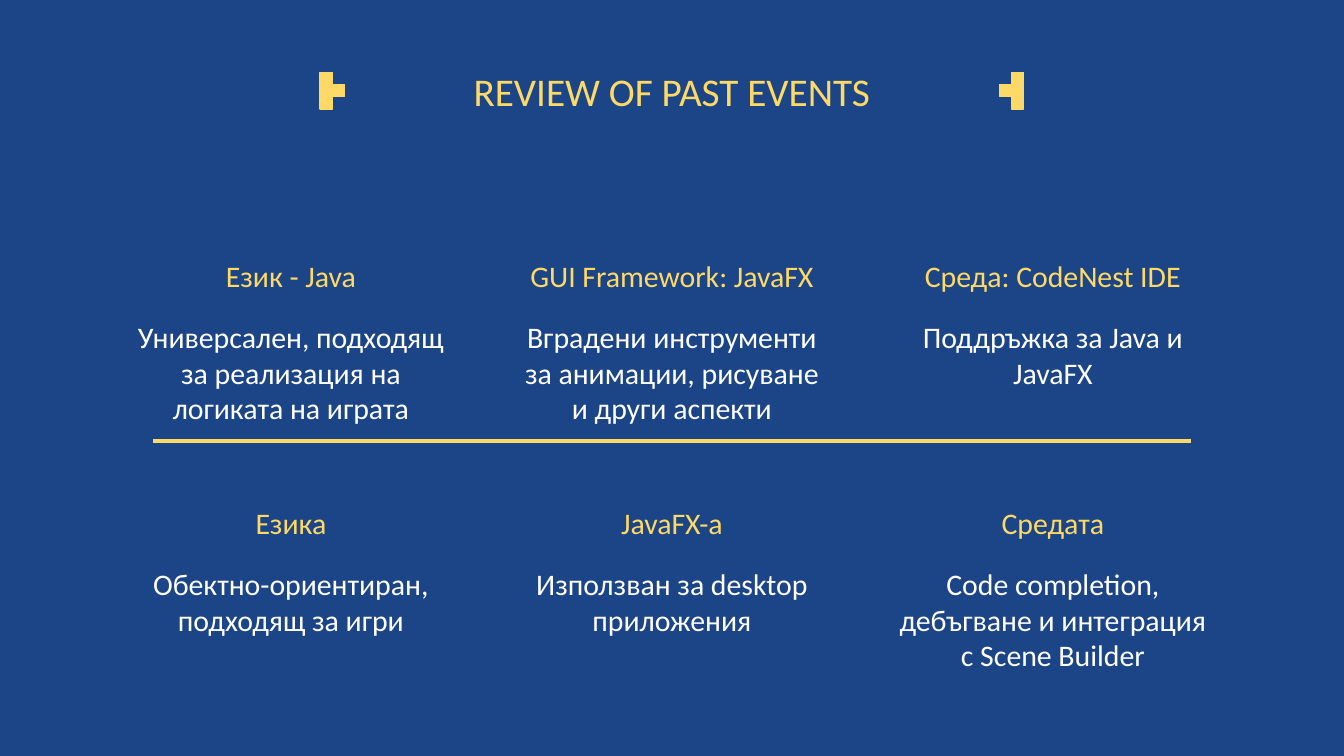
from pptx import Presentation
from pptx.dml.color import RGBColor
from pptx.enum import shapes, text
from pptx.oxml.ns import qn
from pptx.util import Cm, Pt
from lxml import etree

BLUE, YELLOW, WHITE = "1C4587", "FFD966", "FFFFFF"
SLIDE_W, SLIDE_H = 25.4, 14.29

TITLE = "REVIEW OF PAST EVENTS"
TOPIC_ROWS = [
    [
        ("Език - Java", "Универсален, подходящ за реализация на логиката на играта"),
        ("GUI Framework: JavaFX", "Вградени инструменти за анимации, рисуване и други аспекти"),
        ("Среда: CodeNest IDE", "Поддръжка за Java и JavaFX"),
    ],
    [
        ("Езика", "Обектно-ориентиран, подходящ за игри"),
        ("JavaFX-a", "Използван за desktop приложения"),
        ("Средата", "Code completion, дебъгване и интеграция с Scene Builder"),
    ],
]

COLUMN_W, COLUMN_PITCH = 6.45, 7.2
ROW_TOP, ROW_PITCH = 4.7, 4.67
HEADING_H, BODY_OFFSET, BODY_H = 1.09, 1.07, 2.44
GRID_LEFT = (SLIDE_W - 2 * COLUMN_PITCH - COLUMN_W) / 2

BLOCK = 0.23
ORNAMENT_LEFT, ORNAMENT_TOP = 6.05, 1.37
ORNAMENT_CELLS = [(0, 0), (0, 1), (0, 2), (1, 1)]  # column, row
RULE_LEFT, RULE_Y = 2.9, 8.33


def rgb(hex_color):
    return RGBColor.from_string(hex_color)


def write(box, words, size, color, anchor):
    frame = box.text_frame
    frame.text = words
    frame.word_wrap = True
    frame.auto_size = text.MSO_AUTO_SIZE.NONE
    frame.vertical_anchor = anchor
    frame.margin_left = frame.margin_right = Cm(0.25)
    frame.margin_top = frame.margin_bottom = Cm(0.25)
    paragraph = frame.paragraphs[0]
    paragraph.alignment = text.PP_ALIGN.CENTER
    font = paragraph.runs[0].font
    font.name, font.size = "Calibri", Pt(size)
    font.color.rgb = rgb(color)


def add_text(slide, left, top, height, words, color, anchor):
    box = slide.shapes.add_textbox(Cm(left), Cm(top), Cm(COLUMN_W), Cm(height))
    write(box, words, 16, color, anchor)


def add_block(slide, left, top):
    block = slide.shapes.add_shape(
        shapes.MSO_SHAPE.RECTANGLE, Cm(left), Cm(top), Cm(BLOCK), Cm(BLOCK))
    block.shadow.inherit = False
    block.fill.solid()
    block.fill.fore_color.rgb = rgb(YELLOW)
    block.line.color.rgb = rgb(YELLOW)
    block.line.width = Pt(0.75)


def main():
    deck = Presentation()
    deck.slide_width, deck.slide_height = Cm(SLIDE_W), Cm(SLIDE_H)
    slide = deck.slides.add_slide(deck.slide_layouts[5])
    slide.background.fill.solid()
    slide.background.fill.fore_color.rgb = rgb(BLUE)

    title = slide.shapes.title
    title.left, title.top = Cm(0.86), Cm(0.81)
    title.width, title.height = Cm(SLIDE_W - 2 * 0.86), Cm(1.6)
    write(title, TITLE, 21, YELLOW, text.MSO_ANCHOR.BOTTOM)

    for row, topics in enumerate(TOPIC_ROWS):
        top = ROW_TOP + row * ROW_PITCH
        for column, (heading, body) in enumerate(topics):
            left = GRID_LEFT + column * COLUMN_PITCH
            add_text(slide, left, top, HEADING_H, heading, YELLOW, text.MSO_ANCHOR.BOTTOM)
            add_text(slide, left, top + BODY_OFFSET, BODY_H, body, WHITE, text.MSO_ANCHOR.TOP)

    for column, row in ORNAMENT_CELLS:
        left = ORNAMENT_LEFT + column * BLOCK
        mirrored = SLIDE_W - left - BLOCK
        for x in (left, mirrored):
            add_block(slide, x, ORNAMENT_TOP + row * BLOCK)

    rule = slide.shapes.add_connector(
        shapes.MSO_CONNECTOR.STRAIGHT,
        Cm(RULE_LEFT), Cm(RULE_Y), Cm(SLIDE_W - RULE_LEFT), Cm(RULE_Y))
    rule.line.color.rgb = rgb(YELLOW)
    rule.line.width = Pt(2.25)
    etree.SubElement(rule._element.spPr, qn("a:effectLst"))

    deck.save("out.pptx")


if __name__ == "__main__":
    main()
